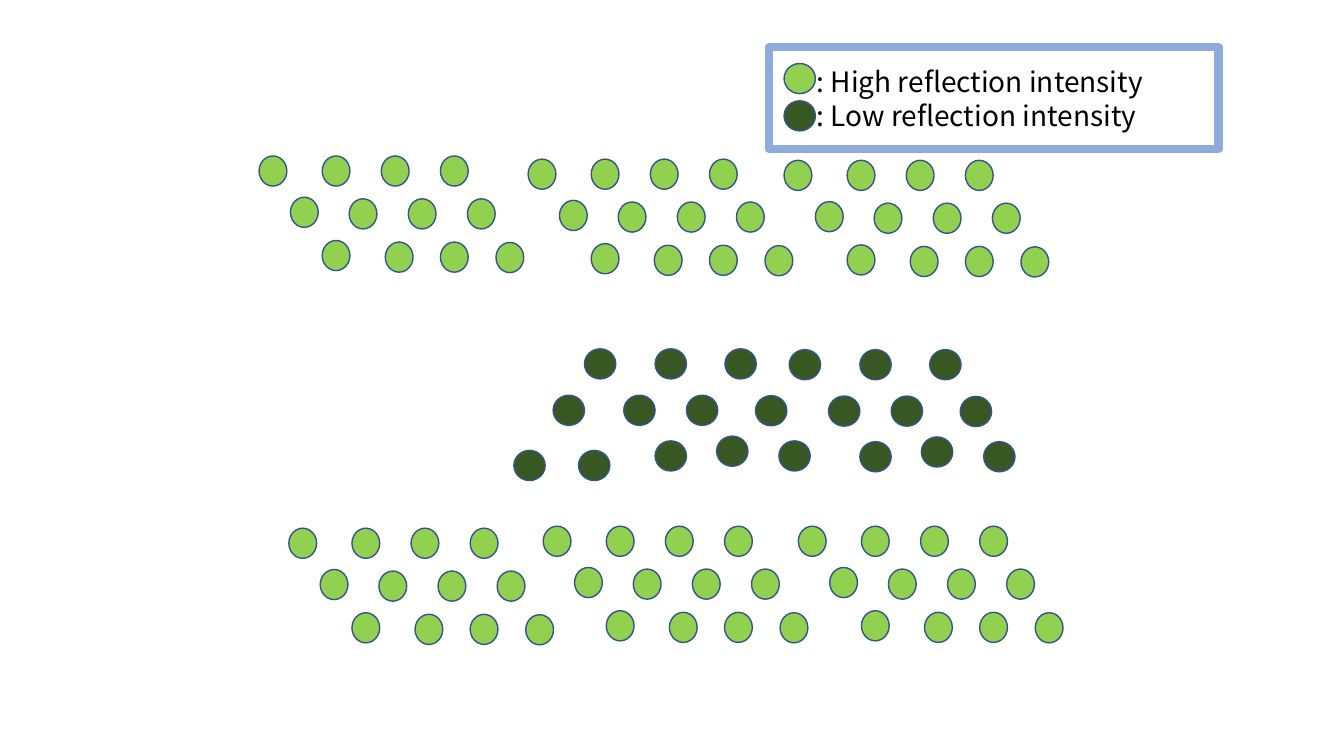
from pptx import Presentation
from pptx.dml.color import RGBColor
from pptx.enum.shapes import MSO_SHAPE
from pptx.enum.text import MSO_ANCHOR, PP_ALIGN
from pptx.util import Cm, Pt

COLORS = {
    "high": "92D050",
    "low": "385723",
    "outline": "325491",
    "frame": "8FAADC",
    "paper": "FFFFFF",
    "ink": "000000",
}
FONT = "Noto Sans CJK JP"
DOT_HEIGHT = 0.76
HIGH_WIDTH = 0.7
LOW_WIDTH = 0.79

HIGH_PATTERN = [
    (0, 0), (1.59, 0), (3.08, 0), (4.57, 0),
    (0.79, 1.04), (2.27, 1.08), (3.76, 1.08), (5.25, 1.08),
    (1.59, 2.13), (3.18, 2.17), (4.57, 2.17), (5.97, 2.18),
]
LOW_PATTERN = [
    (0, 0), (1.78, 0), (3.54, 0),
    (0.99, 1.17), (2.57, 1.17), (4.31, 1.18),
    (1.78, 2.32), (3.33, 2.2), (4.9, 2.32),
]
HIGH_CLUSTERS = [
    (13.31, 4.01), (19.76, 4.04), (6.53, 3.93),
    (7.28, 13.31), (13.69, 13.26), (20.12, 13.26),
]
LOW_CLUSTERS = [(19.89, 8.81), (14.73, 8.79)]
LOW_STRAYS = [(13.94, 9.96), (14.58, 11.35), (12.95, 11.35)]
LEGEND = [
    (": High reflection intensity", "high", 0.41),
    (": Low reflection intensity", "low", 1.35),
]


def color(name):
    return RGBColor.from_string(COLORS[name])


def add_filled(shapes, kind, box, fill, line, weight):
    shape = shapes.add_shape(kind, *(Cm(length) for length in box))
    shape.shadow.inherit = False
    shape.fill.solid()
    shape.fill.fore_color.rgb = color(fill)
    shape.line.color.rgb = color(line)
    shape.line.width = Pt(weight)
    return shape


def add_dot(shapes, left, top, width, intensity):
    add_filled(shapes, MSO_SHAPE.FLOWCHART_CONNECTOR,
               (left, top, width, DOT_HEIGHT), intensity, "outline", 1)


def add_cluster(slide, left, top, pattern, width, intensity):
    cluster = slide.shapes.add_group_shape()
    for dx, dy in pattern:
        add_dot(cluster.shapes, left + dx, top + dy, width, intensity)


def add_legend(slide, left, top, width, height):
    legend = add_filled(slide.shapes, MSO_SHAPE.RECTANGLE,
                        (left, top, width, height), "paper", "frame", 6)
    frame = legend.text_frame
    frame.word_wrap = True
    frame.vertical_anchor = MSO_ANCHOR.MIDDLE
    frame.text = "\n".join(label for label, _, _ in LEGEND)
    for entry in frame.paragraphs:
        entry.alignment = PP_ALIGN.LEFT
        properties = entry._p.get_or_add_pPr()
        properties.set("marL", str(Cm(0.95)))
        properties.set("indent", "0")
        for run in entry.runs:
            run.font.name = FONT
            run.font.size = Pt(20)
            run.font.color.rgb = color("ink")
            east_asian = run._r.get_or_add_rPr().makeelement(
                "{http://schemas.openxmlformats.org/drawingml/2006/main}ea",
                {"typeface": FONT})
            run._r.rPr.append(east_asian)
    for _, intensity, dy in reversed(LEGEND):
        add_dot(slide.shapes, left + 0.38, top + dy, LOW_WIDTH, intensity)


def main():
    presentation = Presentation()
    presentation.slide_width = Cm(33.87)
    presentation.slide_height = Cm(19.05)
    slide = presentation.slides.add_slide(presentation.slide_layouts[6])
    for left, top in HIGH_CLUSTERS:
        add_cluster(slide, left, top, HIGH_PATTERN, HIGH_WIDTH, "high")
    for left, top in LOW_CLUSTERS:
        add_cluster(slide, left, top, LOW_PATTERN, LOW_WIDTH, "low")
    for left, top in LOW_STRAYS:
        add_dot(slide.shapes, left, top, LOW_WIDTH, "low")
    add_legend(slide, 19.38, 1.19, 11.33, 2.57)
    presentation.save("out.pptx")


if __name__ == "__main__":
    main()
